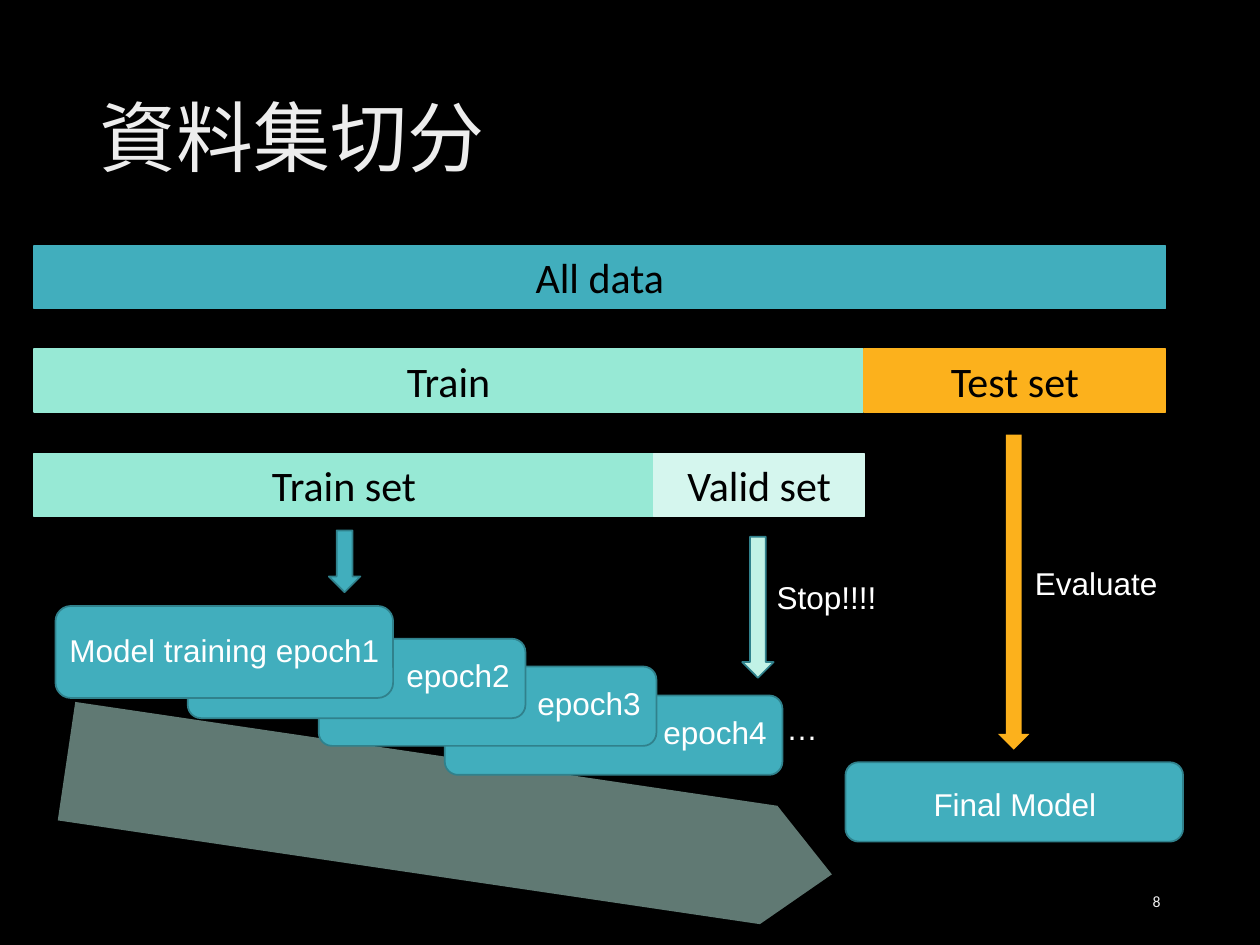
"""Build the data set splitting slide."""
from dataclasses import dataclass

from lxml import etree
from pptx import Presentation
from pptx.dml.color import RGBColor
from pptx.enum.shapes import MSO_SHAPE
from pptx.enum.text import MSO_ANCHOR, PP_ALIGN
from pptx.oxml.ns import qn
from pptx.util import Emu, Pt

PX = 9144
RECT = MSO_SHAPE.RECTANGLE
ROUND = MSO_SHAPE.ROUNDED_RECTANGLE
DOWN = MSO_SHAPE.DOWN_ARROW
MIDDLE = MSO_ANCHOR.MIDDLE
LEFT, CENTER, RIGHT = PP_ALIGN.LEFT, PP_ALIGN.CENTER, PP_ALIGN.RIGHT


@dataclass(frozen=True)
class Theme:
    """Hold the colours, fonts and type sizes."""
    back: str = "000000"
    teal: str = "41AEBD"
    edge: str = "30818C"
    mint: str = "97E9D5"
    pale: str = "D5F6EE"
    ice: str = "C1F2E6"
    amber: str = "FCB11C"
    white: str = "FFFFFF"
    soft: str = "EDEDED"
    label_font: str = "Arial"
    bar_font: str = "Calibri"
    title_font: str = "Noto Sans CJK SC"
    title: int = 44
    bar: int = 24
    label: int = 18
    number: int = 9


T = Theme()


def emu(*lengths):
    """Turn px lengths into EMU."""
    return [Emu(v * PX) for v in lengths]


def write(sp, text, size=T.label, color=T.white, font=T.label_font,
          align=CENTER, anchor=MIDDLE, wrap=True, spacing=None):
    """Put one formatted paragraph into a shape."""
    tf = sp.text_frame
    tf.word_wrap = wrap
    tf.vertical_anchor = anchor
    p = tf.paragraphs[0]
    p.alignment = align
    p.line_spacing = spacing
    r = p.add_run()
    r.text = text
    r.font.size = Pt(size)
    r.font.name = font
    r.font.color.rgb = RGBColor.from_string(color)
    ea = etree.SubElement(r.font._element, qn("a:ea"))
    ea.set("typeface", font)


def add_label(s, x, y, w, h, text, **style):
    """Add a text box."""
    write(s.shapes.add_textbox(*emu(x, y, w, h)), text, **style)


def add_block(s, kind, x, y, w, h, fill, line=None):
    """Add a filled preset shape."""
    sp = s.shapes.add_shape(kind, *emu(x, y, w, h))
    sp.shadow.inherit = False
    sp.fill.solid()
    sp.fill.fore_color.rgb = RGBColor.from_string(fill)
    if line:
        sp.line.color.rgb = RGBColor.from_string(line)
        sp.line.width = Pt(1)
    else:
        sp.line.fill.background()
    return sp


def add_title(s, x, y, w, h, text):
    """Place the title placeholder."""
    sp = s.shapes.title
    sp.left, sp.top, sp.width, sp.height = emu(x, y, w, h)
    write(sp, text, size=T.title, color=T.soft, font=T.title_font,
          align=LEFT, spacing=0.9)


def add_splits(s, x, y, w):
    """Draw the rows of bars that split the data."""
    train, test_w, fit = 658, 239, 492
    rows = [
        [(0, w, T.teal, "All data")],
        [(0, train, T.mint, "Train"), (w - test_w, test_w, T.amber, "Test set")],
        [(0, fit, T.mint, "Train set"), (fit, 167, T.pale, "Valid set")],
    ]
    for i, row in enumerate(rows):
        for dx, width, color, text in row:
            sp = add_block(s, RECT, x + dx, y + round(82.5 * i), width, 50,
                           color, color)
            write(sp, text, size=T.bar, color=T.back, font=T.bar_font)


def add_training(s, x, y):
    """Draw the stacked epochs, their progress arrow and the early stop."""
    sweep = add_block(s, DOWN, x + 265, y - 139, 95, 614, T.ice)
    sweep.rotation = 278.4
    sweep.adjustments[0], sweep.adjustments[1] = 1, 0.534
    color = sweep.fill._xPr.find(f".//{qn('a:srgbClr')}")
    etree.SubElement(color, qn("a:alpha")).set("val", "50000")

    epochs = [(309, 71, "epoch4"), (209, 48, "epoch3"), (105, 26, "epoch2")]
    for dx, dy, text in epochs:
        add_block(s, ROUND, x + dx, y + dy, 268, 63, T.teal, T.edge)
        add_label(s, x + dx + 163, y + dy + 9, 103, 40, text, wrap=False)
    add_block(s, ROUND, x, y, 268, 73, T.teal, T.edge)
    add_label(s, x, y + 15, 268, 40, "Model training epoch1", wrap=False)
    add_label(s, x + 570, y + 77, 45, 40, "…", wrap=False)

    add_block(s, DOWN, x + 217, y - 60, 25, 49, T.teal, T.edge)
    add_block(s, DOWN, x + 545, y - 55, 25, 112, T.ice, T.edge)
    add_label(s, x + 562, y - 27, 100, 40, "Stop!!!!", wrap=False)


def add_evaluation(s, x, y, w):
    """Draw the evaluation arrow down to the final model."""
    add_block(s, DOWN, x + (w - 25) // 2, y, 25, 250, T.amber)
    add_label(s, x + 140, y + 98, 118, 40, "Evaluate", wrap=False)
    add_block(s, ROUND, x, y + 260, w, 63, T.teal, T.edge)
    add_label(s, x + 59, y + 273, 151, 40, "Final Model", wrap=False)


def main():
    """Build and save the slide."""
    prs = Presentation()
    prs.slide_width, prs.slide_height = emu(1000, 750)
    s = prs.slides.add_slide(prs.slide_layouts[5])
    s.background.fill.solid()
    s.background.fill.fore_color.rgb = RGBColor.from_string(T.back)
    add_title(s, 69, 40, 862, 145, "資料集切分")
    add_splits(s, 27, 195, 898)
    add_training(s, 44, 481)
    add_evaluation(s, 671, 345, 268)
    add_label(s, 706, 695, 225, 40, "8", size=T.number, color=T.soft,
              font=T.bar_font, align=RIGHT)
    prs.save("out.pptx")


if __name__ == "__main__":
    main()
